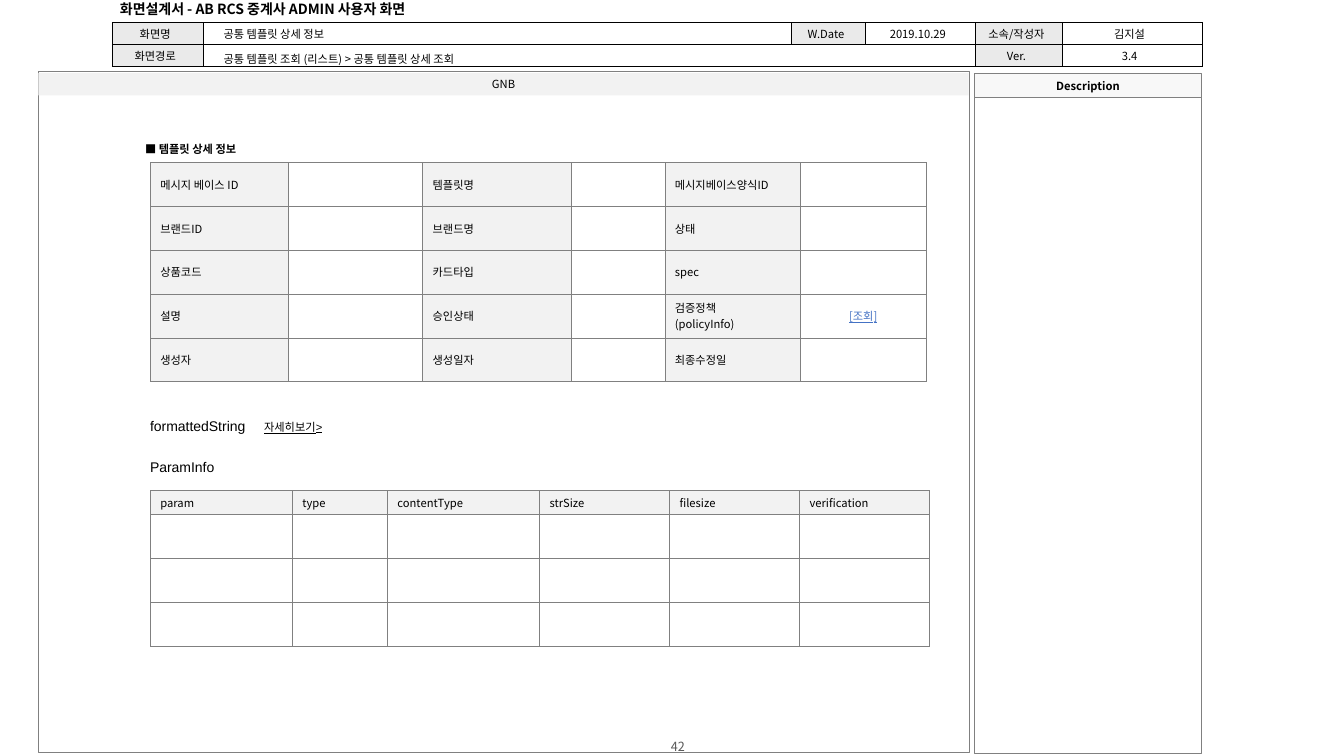
import pptx
import pptx.dml.color
import pptx.enum.shapes
import pptx.enum.text
import pptx.oxml.ns
import pptx.util
from lxml import etree

Pt = pptx.util.Pt
ALIGN = pptx.enum.text.PP_ALIGN
MIDDLE = pptx.enum.text.MSO_ANCHOR.MIDDLE
TOP = pptx.enum.text.MSO_ANCHOR.TOP
KOREAN = "Noto Sans CJK KR"
BLACK, GRAY, LINK = "000000", "808080", "4472C4"
LABEL, HEAD_LABEL, WHITE = "F2F2F2", "EAEAEA", "FFFFFF"


def rgb(color):
    return pptx.dml.color.RGBColor.from_string(color)


def add_xml(parent, tag, **attributes):
    return etree.SubElement(parent, pptx.oxml.ns.qn(tag), attributes)


def write(paragraph, text, size=8, font=KOREAN, color=BLACK, bold=False,
          underline=False, align=ALIGN.LEFT):
    paragraph.alignment = align
    run = paragraph.add_run()
    run.text = text
    run.font.size = Pt(size)
    run.font.name = font
    run.font.bold = bold
    run.font.underline = underline
    run.font.color.rgb = rgb(color)
    add_xml(run.font._element, "a:ea", typeface=KOREAN)


def set_frame(frame, anchor, insets, wrap=True):
    frame.word_wrap = wrap
    frame.vertical_anchor = anchor
    frame.margin_left = frame.margin_right = Pt(insets[0])
    frame.margin_top = frame.margin_bottom = Pt(insets[1])


def add_label(slide, left, top, width, height, text, anchor=TOP,
              insets=(7.2, 3.6), **style):
    """Add a text box and return its paragraph for further runs."""
    frame = slide.shapes.add_textbox(Pt(left), Pt(top), Pt(width), Pt(height)).text_frame
    set_frame(frame, anchor, insets)
    write(frame.paragraphs[0], text, **style)
    return frame.paragraphs[0]


def add_panel(slide, left, top, width, height, fill=None, line=None, text=None, **style):
    panel = slide.shapes.add_shape(pptx.enum.shapes.MSO_SHAPE.RECTANGLE,
                                   Pt(left), Pt(top), Pt(width), Pt(height))
    panel.shadow.inherit = False
    if fill:
        panel.fill.solid()
        panel.fill.fore_color.rgb = rgb(fill)
    else:
        panel.fill.background()
    if line:
        panel.line.color.rgb = rgb(line)
        panel.line.width = Pt(0.25)
    else:
        panel.line.fill.background()
    if text:
        set_frame(panel.text_frame, MIDDLE, (7.2, 0))
        write(panel.text_frame.paragraphs[0], text, align=ALIGN.CENTER, **style)


def format_cell(cell, border, fill, margins):
    properties = cell._tc.get_or_add_tcPr()
    for side in ("a:lnL", "a:lnR", "a:lnT", "a:lnB"):
        edge = add_xml(properties, side, w=str(Pt(0.25)))
        add_xml(add_xml(edge, "a:solidFill"), "a:srgbClr", val=border)
    if fill:
        cell.fill.solid()
        cell.fill.fore_color.rgb = rgb(fill)
    else:
        cell.fill.background()
    cell.vertical_anchor = MIDDLE
    cell.margin_left, cell.margin_right = Pt(margins[0]), Pt(margins[1])
    cell.margin_top = cell.margin_bottom = Pt(margins[2])


def add_grid(slide, left, top, widths, heights, rows, border, fill_rule,
             margins=(7.2, 7.2, 2.4), align=ALIGN.LEFT):
    """Add a table; fill_rule(row, column) gives each cell's fill or None."""
    table = slide.shapes.add_table(len(heights), len(widths), Pt(left), Pt(top),
                                   Pt(sum(widths)), Pt(sum(heights))).table
    table.first_row = table.horz_banding = False
    for column, width in zip(table.columns, widths):
        column.width = Pt(width)
    for row, height in zip(table.rows, heights):
        row.height = Pt(height)
    for r, texts in enumerate(rows):
        for c, text in enumerate(texts):
            cell = table.cell(r, c)
            format_cell(cell, border, fill_rule(r, c), margins)
            if not text:
                add_xml(cell.text_frame.paragraphs[0]._p, "a:endParaRPr", sz="800")
                continue
            for i, line in enumerate(text.split("\n")):
                frame = cell.text_frame
                paragraph = frame.add_paragraph() if i else frame.paragraphs[0]
                if line == "[조회]":
                    write(paragraph, line, color=LINK, underline=True, align=ALIGN.CENTER)
                else:
                    write(paragraph, line, align=align)
    return table


def add_screen_header(slide):
    rows = [["화면명", "", "W.Date", "2019.10.29", "소속/작성자", "김지설"],
            ["화면경로", "", "", "", "Ver.", "3.4"]]
    header = add_grid(
        slide, 80, 15.9, [65.4, 420, 52.9, 78.4, 62.4, 99.3], [15.8, 15.8], rows, BLACK,
        lambda r, c: HEAD_LABEL if rows[r][c] and c % 2 == 0 else WHITE,
        margins=(2.9, 6.5, 1.4), align=ALIGN.CENTER)
    header.cell(1, 1).merge(header.cell(1, 3))
    add_label(slide, 79.2, -2.9, 260, 18.7, "화면설계서 - AB RCS 중계사 ADMIN 사용자 화면",
              anchor=MIDDLE, insets=(6.5, 0), size=10, bold=True)
    add_label(slide, 152.6, 15.8, 226, 17.3, "공통 템플릿 상세 정보")
    add_label(slide, 152.6, 33.8, 226, 17.3, "공통 템플릿 조회 (리스트) > 공통 템플릿 상세 조회")


def add_screen_frame(slide):
    add_label(slide, 372.2, 528.5, 223.9, 9.4, "42", anchor=MIDDLE, insets=(0, 0),
              size=9, color="595959", align=ALIGN.CENTER)
    add_panel(slide, 27.4, 51.1, 664.6, 486, line=GRAY)
    add_panel(slide, 696.2, 69.1, 162, 468.7, line=GRAY)
    add_panel(slide, 696.2, 52.6, 162, 17, fill="F8F8F8", line=GRAY,
              text="Description", bold=True)
    add_panel(slide, 27.4, 52.3, 664.6, 15.8, fill=LABEL, text="GNB")


def add_template_details(slide):
    add_label(slide, 96.5, 97.9, 108.7, 17.3, "■ 템플릿 상세 정보", bold=True)
    rows = [["메시지 베이스 ID", "", "템플릿명", "", "메시지베이스양식ID", ""],
            ["브랜드ID", "", "브랜드명", "", "상태", ""],
            ["상품코드", "", "카드타입", "", "spec", ""],
            ["설명", "", "승인상태", "", "검증정책\n(policyInfo)", "[조회]"],
            ["생성자", "", "생성일자", "", "최종수정일", ""]]
    add_grid(slide, 107.3, 116, [98.6, 96, 106, 67, 97, 89.5], [31.3] * 5, rows, GRAY,
             lambda r, c: LABEL if c % 2 == 0 else None)


def add_parameters(slide):
    formatted = add_label(slide, 100.1, 294.5, 180, 19.4, "formattedString\t",
                          size=10, font="Arial")
    write(formatted, "자세히보기>", font="Arial", underline=True)
    tabs = add_xml(formatted._p.get_or_add_pPr(), "a:tabLst")
    add_xml(tabs, "a:tab", pos=str(Pt(81.5)), algn="l")
    add_label(slide, 100.1, 324, 80, 19.4, "ParamInfo", size=10, font="Arial")
    headings = ["param", "type", "contentType", "strSize", "filesize", "verification"]
    add_grid(slide, 107.3, 350.4, [101.5, 67.9, 108.7, 92.9, 92.9, 92.9],
             [17.2] + [31.3] * 3, [headings] + [[""] * len(headings)] * 3, GRAY,
             lambda r, c: LABEL if r == 0 else None)


def main():
    presentation = pptx.Presentation()
    presentation.slide_width, presentation.slide_height = Pt(960), Pt(540)
    slide = presentation.slides.add_slide(presentation.slide_layouts[6])
    add_screen_frame(slide)
    add_screen_header(slide)
    add_template_details(slide)
    add_parameters(slide)
    presentation.save("out.pptx")


if __name__ == "__main__":
    main()
